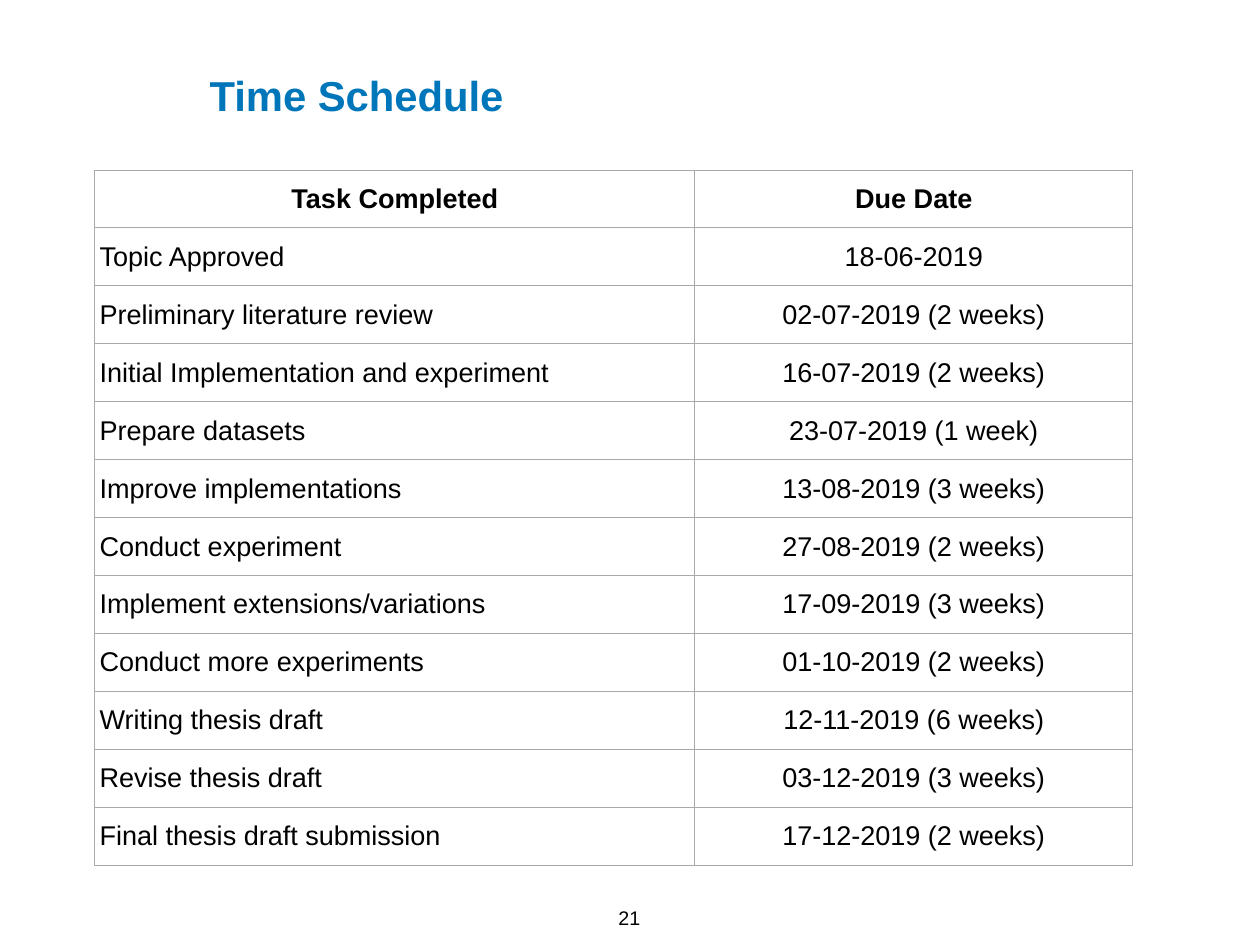
from dataclasses import dataclass

from lxml.etree import SubElement
from pptx import Presentation
from pptx.dml.color import RGBColor
from pptx.enum.text import MSO_ANCHOR, MSO_AUTO_SIZE, PP_ALIGN
from pptx.oxml import parse_xml
from pptx.oxml.ns import nsdecls, qn
from pptx.slide import Slide
from pptx.table import _Cell
from pptx.text.text import _Paragraph
from pptx.util import Pt

BLACK = RGBColor(0x00, 0x00, 0x00)
WHITE = RGBColor(0xFF, 0xFF, 0xFF)
BLUE = RGBColor(0x00, 0x76, 0xBA)
GRAY = RGBColor(0xA6, 0xAA, 0xA9)

FONT = "Arial"
INSET = Pt(4)
TABLE_LEFT, TABLE_TOP = Pt(77), Pt(138.2)
COLUMN_WIDTHS = (Pt(487.8), Pt(355.7))
ROW_HEIGHT = Pt(47.1)


@dataclass(frozen=True)
class Label:
    text: str
    left: float
    top: float
    width: float
    height: float
    size: float
    color: RGBColor
    bold: bool
    align: PP_ALIGN
    anchor: MSO_ANCHOR
    wrap: bool


@dataclass(frozen=True)
class Milestone:
    task: str
    due: str


PAGE_NUMBER = Label("21", 498.2, 732.2, 26.6, 25.2, 16, BLACK, False,
                    PP_ALIGN.CENTER, MSO_ANCHOR.TOP, False)
TITLE = Label("Time Schedule", 166.3, 53.3, 249.1, 48.2, 34, BLUE, True,
              PP_ALIGN.LEFT, MSO_ANCHOR.MIDDLE, True)

SCHEDULE = (
    Milestone("Task Completed", "Due Date"),
    Milestone("Topic Approved", "18-06-2019"),
    Milestone("Preliminary literature review", "02-07-2019 (2 weeks)"),
    Milestone("Initial Implementation and experiment", "16-07-2019 (2 weeks)"),
    Milestone("Prepare datasets", "23-07-2019 (1 week)"),
    Milestone("Improve implementations", "13-08-2019 (3 weeks)"),
    Milestone("Conduct experiment", "27-08-2019 (2 weeks)"),
    Milestone("Implement extensions/variations", "17-09-2019 (3 weeks)"),
    Milestone("Conduct more experiments", "01-10-2019 (2 weeks)"),
    Milestone("Writing thesis draft", "12-11-2019 (6 weeks)"),
    Milestone("Revise thesis draft", "03-12-2019 (3 weeks)"),
    Milestone("Final thesis draft submission", "17-12-2019 (2 weeks)"),
)


def write(paragraph: _Paragraph, text: str, size: float, color: RGBColor,
          bold: bool, align: PP_ALIGN) -> None:
    """Fill a paragraph with text in one style."""
    paragraph.text = text
    paragraph.alignment = align
    paragraph.font.name = FONT
    paragraph.font.size = Pt(size)
    paragraph.font.bold = bold
    paragraph.font.color.rgb = color


def add_label(slide: Slide, label: Label) -> None:
    """Place a text box that fits its text."""
    box = slide.shapes.add_textbox(Pt(label.left), Pt(label.top),
                                   Pt(label.width), Pt(label.height))
    frame = box.text_frame
    frame.margin_left = frame.margin_right = INSET
    frame.margin_top = frame.margin_bottom = INSET
    frame.vertical_anchor = label.anchor
    frame.word_wrap = label.wrap
    frame.auto_size = MSO_AUTO_SIZE.SHAPE_TO_FIT_TEXT
    write(frame.paragraphs[0], label.text, label.size, label.color,
          label.bold, label.align)


def add_borders(cell: _Cell) -> None:
    """Draw a thin gray line on all four sides of a cell."""
    properties = cell._tc.get_or_add_tcPr()
    for position, side in enumerate(("lnL", "lnR", "lnT", "lnB")):
        border = parse_xml(f'<a:{side} {nsdecls("a")} w="{Pt(1)}"/>')
        fill = SubElement(border, qn("a:solidFill"))
        SubElement(fill, qn("a:srgbClr"), val=str(GRAY))
        properties.insert(position, border)


def fill_cell(cell: _Cell, text: str, bold: bool, align: PP_ALIGN) -> None:
    """Write and format one table cell."""
    cell.margin_left = cell.margin_right = INSET
    cell.margin_top = cell.margin_bottom = INSET
    cell.vertical_anchor = MSO_ANCHOR.MIDDLE
    cell.fill.solid()
    cell.fill.fore_color.rgb = WHITE
    add_borders(cell)
    write(cell.text_frame.paragraphs[0], text, 22, BLACK, bold, align)


def add_schedule(slide: Slide, milestones: tuple[Milestone, ...]) -> None:
    """Build the table of tasks and due dates."""
    schedule = slide.shapes.add_table(
        len(milestones), len(COLUMN_WIDTHS), TABLE_LEFT, TABLE_TOP,
        sum(COLUMN_WIDTHS), ROW_HEIGHT * len(milestones)).table
    schedule.first_row = True
    schedule.horz_banding = False
    for column, width in zip(schedule.columns, COLUMN_WIDTHS):
        column.width = width
    for index, milestone in enumerate(milestones):
        schedule.rows[index].height = ROW_HEIGHT
        heading = index == 0
        task_align = PP_ALIGN.CENTER if heading else PP_ALIGN.LEFT
        fill_cell(schedule.cell(index, 0), milestone.task, heading, task_align)
        fill_cell(schedule.cell(index, 1), milestone.due, heading, PP_ALIGN.CENTER)


def main() -> None:
    """Build and save the time schedule slide."""
    deck = Presentation()
    deck.slide_width, deck.slide_height = Pt(1024), Pt(768)
    slide = deck.slides.add_slide(deck.slide_layouts[6])
    for label in (PAGE_NUMBER, TITLE):
        add_label(slide, label)
    add_schedule(slide, SCHEDULE)
    deck.save("out.pptx")


if __name__ == "__main__":
    main()
